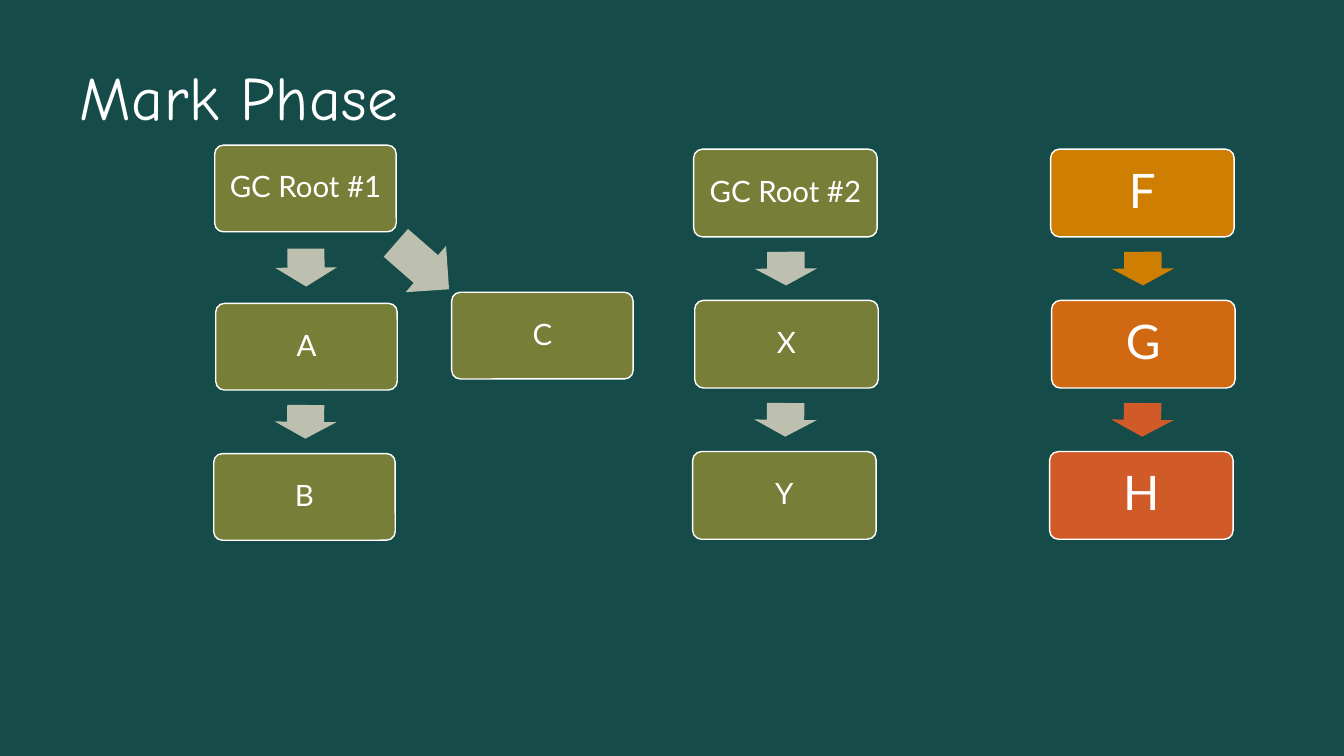
from dataclasses import dataclass
from itertools import pairwise
from math import atan2, degrees

from pptx import Presentation
from pptx.dml.color import RGBColor
from pptx.enum.shapes import MSO_SHAPE
from pptx.enum.text import MSO_ANCHOR, PP_ALIGN
from pptx.util import Inches, Pt


@dataclass(frozen=True)
class Theme:
    back: str = "154C4A"
    white: str = "FFFFFF"
    olive: str = "767E37"
    pale: str = "BDC0AE"
    amber: str = "CE7F01"
    orange: str = "D16913"
    rust: str = "D15A29"
    head: int = 44
    small: int = 21
    large: int = 34
    title: str = "Comic Neue"
    body: str = "Lato"


THEME = Theme()
SHIFTS = (0, 0.01, -0.01)  # small sideways shift of each row


def color(code):
    return RGBColor.from_string(code)


def style(para, face, size, spacing):
    para.line_spacing = spacing
    para.font.name = face
    para.font.size = Pt(size)
    para.font.color.rgb = color(THEME.white)


def pad(frame, inset):
    frame.word_wrap = True
    frame.margin_left = frame.margin_right = Inches(inset)
    frame.margin_top = frame.margin_bottom = Inches(inset)


def add_title(slide, text):
    box = slide.shapes.add_textbox(
        Inches(0.79), Inches(0.68), Inches(11.73), Inches(1.62))
    pad(box.text_frame, 0)
    para = box.text_frame.paragraphs[0]
    run = para.add_run()
    run.text = text
    run._r.get_or_add_rPr().set("spc", "40")
    style(para, THEME.title, THEME.head, 0.88)


def add_node(slide, text, left, top, width, height, fill, size, inset):
    node = slide.shapes.add_shape(
        MSO_SHAPE.ROUNDED_RECTANGLE,
        Inches(left), Inches(top), Inches(width), Inches(height))
    node.adjustments[0] = 0.1
    node.shadow.inherit = False
    node.fill.solid()
    node.fill.fore_color.rgb = color(fill)
    node.line.color.rgb = color(THEME.white)
    node.line.width = Pt(1)
    frame = node.text_frame
    pad(frame, inset)
    frame.vertical_anchor = MSO_ANCHOR.MIDDLE
    para = frame.paragraphs[0]
    para.text = text
    para.alignment = PP_ALIGN.CENTER
    style(para, THEME.body, size, 0.9)


def add_arrow(slide, x, y, length, breadth, angle, fill):
    """Draw a block arrow centred on x, y."""
    arrow = slide.shapes.add_shape(
        MSO_SHAPE.RIGHT_ARROW,
        Inches(x - length / 2), Inches(y - breadth / 2),
        Inches(length), Inches(breadth))
    arrow.adjustments[0] = 0.6
    arrow.adjustments[1] = 0.5
    arrow.rotation = angle
    arrow.shadow.inherit = False
    arrow.fill.solid()
    arrow.fill.fore_color.rgb = color(fill)
    arrow.line.fill.background()


def add_chain(slide, names, left, tops, width, height, fills, tints,
              size=THEME.small, inset=0.09):
    """Stack nodes and put an arrow in each gap."""
    spots = [(left + shift, top) for shift, top in zip(SHIFTS, tops)]
    for name, (x, y), fill in zip(names, spots, fills):
        add_node(slide, name, x, y, width, height, fill, size, inset)
    for (start, end), tint in zip(pairwise(spots), tints):
        (x1, y1), (x2, y2) = start, end
        gap = y2 - y1 - height
        add_arrow(slide, (x1 + x2 + width) / 2, y2 - gap / 2,
                  0.53 * gap, 0.34 * width,
                  degrees(atan2(y2 - y1, x2 - x1)), tint)


def main():
    deck = Presentation()
    deck.slide_width, deck.slide_height = Inches(13.33), Inches(7.5)
    slide = deck.slides.add_slide(deck.slide_layouts[6])
    slide.background.fill.solid()
    slide.background.fill.fore_color.rgb = color(THEME.back)
    add_title(slide, "Mark Phase")

    # Reachable objects
    live, links = [THEME.olive] * 3, [THEME.pale] * 2
    add_chain(slide, ("GC Root #1", "A", "B"), 2.13, (1.44, 3.01, 4.5),
              1.8, 0.86, live, links)
    add_arrow(slide, 4.19, 2.64, 0.7, 0.61, 41.1, THEME.pale)
    add_node(slide, "C", 4.48, 2.9, 1.8, 0.86, THEME.olive,
             THEME.small, 0.09)
    rows = (1.48, 2.98, 4.48)
    add_chain(slide, ("GC Root #2", "X", "Y"), 6.88, rows,
              1.82, 0.87, live, links)

    # Unreachable objects
    add_chain(slide, ("F", "G", "H"), 10.42, rows, 1.82, 0.87,
              (THEME.amber, THEME.orange, THEME.rust),
              (THEME.amber, THEME.rust), THEME.large, 0.14)

    deck.save("out.pptx")


if __name__ == "__main__":
    main()
